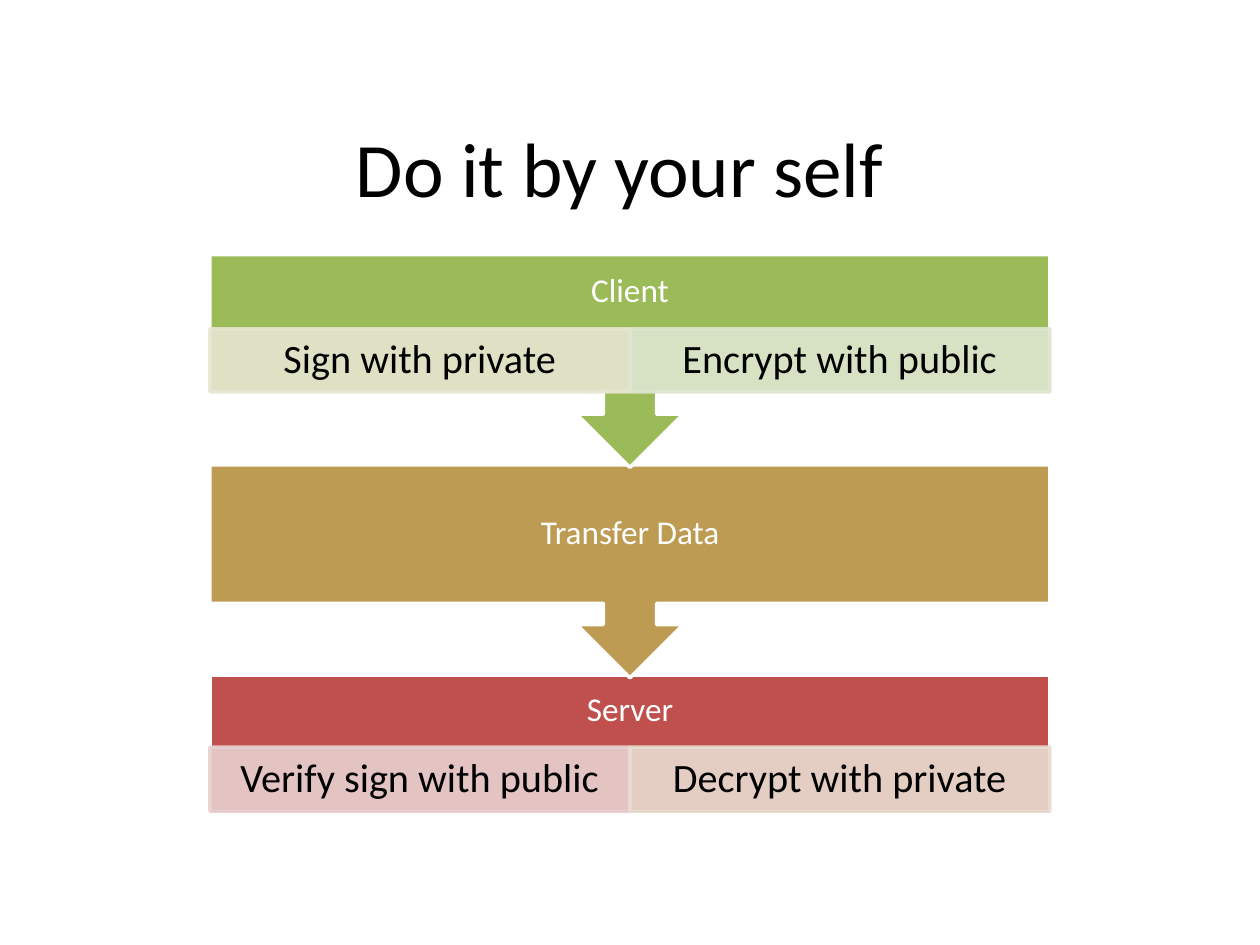
from dataclasses import dataclass

from lxml.etree import SubElement
from pptx import Presentation
from pptx.dml.color import RGBColor
from pptx.enum.shapes import MSO_SHAPE as Preset
from pptx.enum.text import MSO_ANCHOR as Anchor, PP_ALIGN as Align
from pptx.oxml.ns import qn
from pptx.util import Inches, Pt

WHITE = RGBColor(0xFF, 0xFF, 0xFF)
BLACK = RGBColor(0x00, 0x00, 0x00)
GREEN = RGBColor(0x9B, 0xBB, 0x59)
OCHRE = RGBColor(0xBD, 0x9B, 0x53)
RED = RGBColor(0xC0, 0x50, 0x4D)
PALE_OLIVE = RGBColor(0xE7, 0xE6, 0xD1)
PALE_GREEN = RGBColor(0xDE, 0xE7, 0xD1)
PALE_PINK = RGBColor(0xE8, 0xD0, 0xD0)
PALE_SAND = RGBColor(0xE8, 0xDC, 0xD0)

PAGE_WIDTH, PAGE_HEIGHT = 10, 7.5
LEFT, WIDTH = PAGE_WIDTH / 6, PAGE_WIDTH * 2 / 3
TOP, ROW_PITCH = 2.02, 1.67
BODY_HEIGHT, CALLOUT_HEIGHT = 1.1, 1.69
STEP_INSET = 0.15


@dataclass(frozen=True)
class Step:
    text: str
    color: RGBColor


@dataclass(frozen=True)
class Stage:
    text: str
    color: RGBColor
    steps: tuple[Step, ...] = ()
    header: float = BODY_HEIGHT
    step_height: float = 0.5


STAGES = (
    Stage("Client", GREEN, (Step("Sign with private", PALE_OLIVE),
                            Step("Encrypt with public", PALE_GREEN)), 0.59),
    Stage("Transfer Data", OCHRE),
    Stage("Server", RED, (Step("Verify sign with public", PALE_PINK),
                          Step("Decrypt with private", PALE_SAND)), 0.57, 0.51),
)


def write(frame, text: str, size: float, color: RGBColor, spacing: float = 0.9) -> None:
    frame.word_wrap = True
    frame.vertical_anchor = Anchor.MIDDLE
    para = frame.paragraphs[0]
    para.alignment = Align.CENTER
    para.line_spacing = spacing
    span = para.add_run()
    span.text = text
    for name, value in {"name": "Calibri", "size": Pt(size)}.items():
        setattr(span.font, name, value)
    span.font.color.rgb = color


def add_box(page, preset, place: tuple, fill: RGBColor, line: RGBColor, insets: dict):
    box = page.shapes.add_shape(preset, *map(Inches, place))
    box.shadow.inherit = False
    box.fill.solid()
    box.fill.fore_color.rgb = fill
    box.line.color.rgb = line
    box.line.width = Pt(2)
    for side, inset in insets.items():
        setattr(box.text_frame, f"margin_{side}", Inches(inset))
    return box


def set_opacity(box, percent: int) -> None:
    """Apply one opacity to both the fill and the outline."""
    for color in box.fill._xPr.iter(qn("a:srgbClr")):
        SubElement(color, qn("a:alpha"), val=str(percent * 1000))


def add_stage(page, row: int, stage: Stage) -> None:
    top = TOP + row * ROW_PITCH
    is_last = row == len(STAGES) - 1
    preset = Preset.RECTANGLE if is_last else Preset.DOWN_ARROW_CALLOUT
    height = BODY_HEIGHT if is_last else CALLOUT_HEIGHT
    insets = dict.fromkeys(("left", "top", "right"), STEP_INSET)
    insets["bottom"] = STEP_INSET + BODY_HEIGHT - stage.header
    body = add_box(page, preset, (LEFT, top, WIDTH, height), stage.color, WHITE, insets)
    write(body.text_frame, stage.text, 19, WHITE)

    for column, step in enumerate(stage.steps):
        width = WIDTH / len(stage.steps)
        place = (LEFT + column * width, top + stage.header, width, stage.step_height)
        box = add_box(page, Preset.RECTANGLE, place, step.color, step.color,
                      {"left": 0.18, "right": 0.18, "top": 0.03, "bottom": 0.03})
        set_opacity(box, 90)
        write(box.text_frame, step.text, 23, BLACK)


def add_title(page, text: str) -> None:
    title = page.shapes.title
    place = {"left": 0.67, "top": 0.52, "width": 8.5, "height": 1.61}
    for name, value in place.items():
        setattr(title, name, Inches(value))
    write(title.text_frame, text, 44, BLACK, spacing=1.0)


def main() -> None:
    deck = Presentation()
    deck.slide_width, deck.slide_height = Inches(PAGE_WIDTH), Inches(PAGE_HEIGHT)
    page = deck.slides.add_slide(deck.slide_layouts[0])
    subtitle = page.placeholders[1].element
    subtitle.getparent().remove(subtitle)
    add_title(page, "Do it by your self")
    # Bottom row first, so each arrow tip lies over the stage below it.
    for row, stage in reversed(list(enumerate(STAGES))):
        add_stage(page, row, stage)
    deck.save("out.pptx")


if __name__ == "__main__":
    main()
